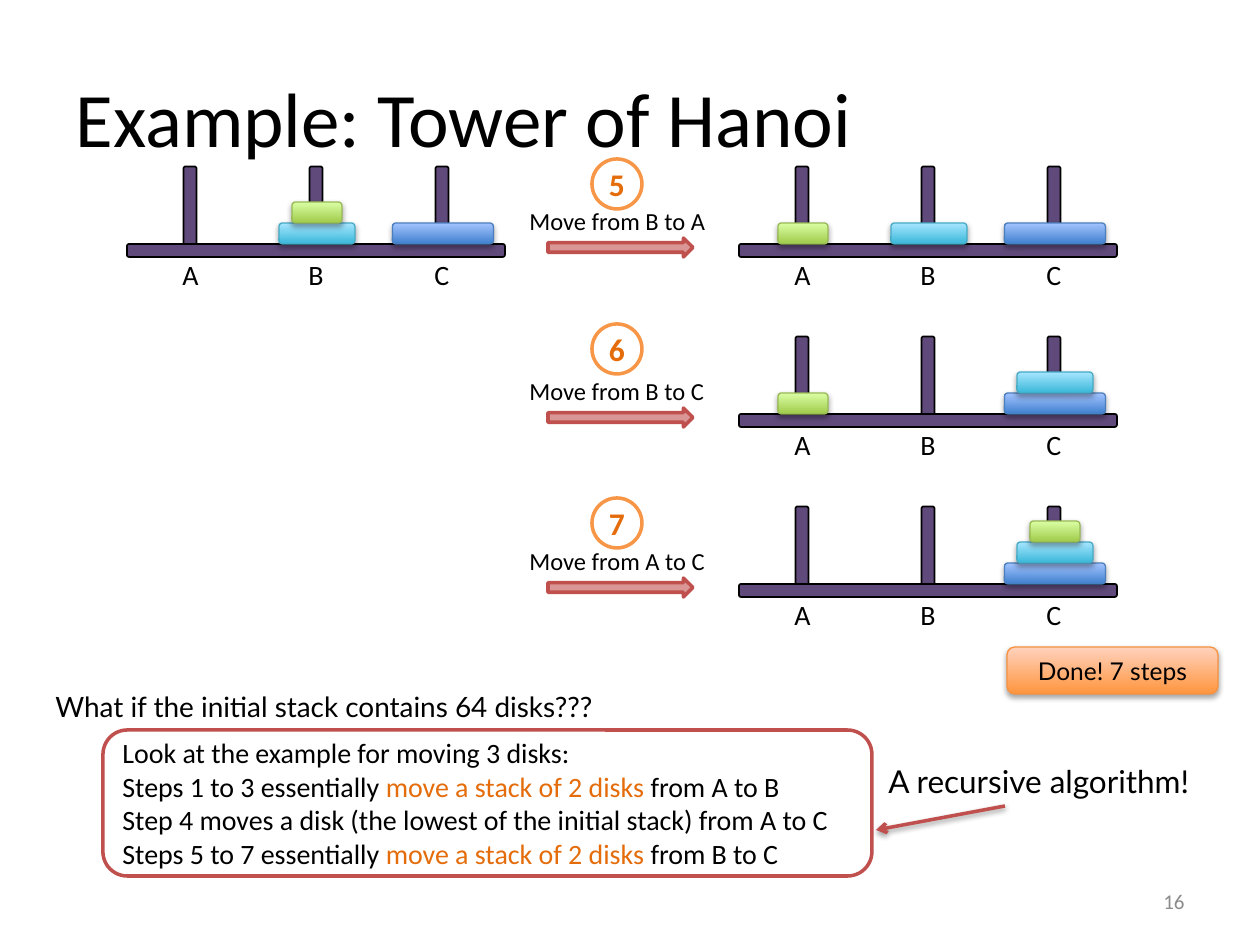
from lxml import etree
from pptx import Presentation
from pptx import util as u
from pptx.dml import color
from pptx.enum import shapes, text
from pptx.oxml import ns

SCALE = 914400 / 126
ROW_STEP, PEG_STEP, DISK_HEIGHT = 170, 126, 21
DISKS = {
    "large": (101, "3F80CE", "A4C4FF", "4B7EBC"),
    "medium": (76, "39B7D8", "A7E6FF", "46AAC5"),
    "small": (50, "A0CA4A", "DAFFA5", "98B955"),
}
MOVES = [
    ("5", "Move from B to A", 159, [["small"], ["medium"], ["large"]]),
    ("6", "Move from B to C", 324, [["small"], [], ["large", "medium"]]),
    ("7", "Move from A to C", 498, [[], [], ["large", "medium", "small"]]),
]
ADVICE = [
    [("Look at the example for moving 3 disks:", "000000")],
    [("Steps 1 to 3 essentially ", "000000"), ("move a stack of 2 disks ", "E46C0A"),
     ("from A to B", "000000")],
    [("Step 4 moves a disk (the lowest of the initial stack) from A to C", "000000")],
    [("Steps 5 to 7 essentially ", "000000"), ("move a stack of 2 disks", "E46C0A"),
     (" from B to C", "000000")],
]


def px(*lengths):
    """Turn pixel lengths into a list of EMU."""
    return [u.Emu(round(length * SCALE)) for length in lengths]


def rgb(value):
    """Return the colour for a hex string."""
    return color.RGBColor.from_string(value)


def apply(target, **values):
    """Set each named attribute on the target."""
    for name, value in values.items():
        setattr(target, name, value)


def add_shadow(properties, alpha=35000):
    """Put a soft downward shadow into the effect list of the properties."""
    effects = properties.find(ns.qn("a:effectLst"))
    if effects is None:
        effects = etree.SubElement(properties, ns.qn("a:effectLst"))
    shadow = etree.SubElement(effects, ns.qn("a:outerShdw"), blurRad="40000",
                              dist="23000", dir="5400000", rotWithShape="0")
    tint = etree.SubElement(shadow, ns.qn("a:srgbClr"), val="000000")
    etree.SubElement(tint, ns.qn("a:alpha"), val=str(alpha))


def add_figure(parts, kind, box, fill=None, line=None, width=1):
    """Add a preset shape; a pair of fills makes a shadowed gradient."""
    shape = parts.add_shape(kind, *px(*box))
    shape.shadow.inherit = False
    if isinstance(fill, tuple):
        shape.fill.gradient()
        shape.fill.gradient_angle = 90
        for stop, value in zip(shape.fill.gradient_stops, fill):
            stop.color.rgb = rgb(value)
        add_shadow(shape._element.spPr)
    elif fill:
        shape.fill.solid()
        shape.fill.fore_color.rgb = rgb(fill)
    else:
        shape.fill.background()
    if line:
        shape.line.color.rgb = rgb(line)
        shape.line.width = u.Pt(width)
    else:
        shape.line.fill.background()
    return shape


def write(shape, lines, size, name="Calibri", align="LEFT", bold=False, **frame_values):
    """Fill a shape with lines, each a list of text and colour pairs."""
    frame = shape.text_frame
    apply(frame, **{"word_wrap": True, **frame_values})
    for index, spans in enumerate(lines):
        para = frame.add_paragraph() if index else frame.paragraphs[0]
        para.alignment = text.PP_ALIGN[align]
        for words, value in spans:
            span = para.add_run()
            span.text = words
            apply(span.font, size=u.Pt(size), name=name, bold=bold)
            span.font.color.rgb = rgb(value)


def add_label(parts, box, words, size, name="Calibri"):
    """Add an unwrapped line of black text."""
    write(parts.add_textbox(*px(*box)), [[(words, "000000")]], size, name,
          word_wrap=False, auto_size=text.MSO_AUTO_SIZE.SHAPE_TO_FIT_TEXT)


def add_towers(parts, left, top, stacks):
    """Draw a board at the given corner with three pegs and their disks."""
    rounded = shapes.MSO_SHAPE.ROUNDED_RECTANGLE
    for peg in range(3):
        box = (left + 19 + PEG_STEP * peg, top - 40, 88, 13)
        add_figure(parts, rounded, box, "604A7B", "000000").rotation = 90
    add_figure(parts, rounded, (left, top, 378, 13), "604A7B", "000000")
    for peg, (letter, stack) in enumerate(zip("ABC", stacks)):
        start = left + PEG_STEP * peg
        add_label(parts, (start + 43, top + 7, 42, 47), letter, 16)
        for level, disk in enumerate(stack, 1):
            width, dark, light, edge = DISKS[disk]
            box = (start + 64 - width / 2, top - DISK_HEIGHT * level, width, DISK_HEIGHT)
            add_figure(parts, rounded, box, (dark, light), edge, 0.75)


def add_move(page, top, number, words, circle_top, stacks):
    """Draw one numbered move, its arrow and the towers that result."""
    parts = page.shapes.add_group_shape().shapes
    add_figure(parts, shapes.MSO_SHAPE.RIGHT_ARROW, (548, top - 6, 145, 19),
               "D99694", "C0504D", 2)
    add_label(parts, (517, top - 44, 201, 43), words, 14)
    add_towers(parts, 739, top, stacks)
    circle = add_figure(page.shapes, shapes.MSO_SHAPE.OVAL, (592, circle_top, 50, 50),
                        None, "F79646", 2)
    write(circle, [[(number, "E46C0A")]], 18, align="CENTER", bold=True, word_wrap=False,
          vertical_anchor=text.MSO_ANCHOR.MIDDLE,
          margin_left=0, margin_right=0, margin_top=0, margin_bottom=0)


def add_heading(page):
    """Place the title and the slide number."""
    title = page.shapes.title
    apply(title, **dict(zip(("left", "top", "width", "height"), px(63, 38, 1134, 157))))
    middle = text.MSO_ANCHOR.MIDDLE
    write(title, [[("Example: Tower of Hanoi", "000000")]], 44, vertical_anchor=middle)
    number = page.shapes.add_textbox(*px(903, 876, 294, 50))
    write(number, [[("16", "8C8C8C")]], 12, align="RIGHT", vertical_anchor=middle)


def add_conclusion(page):
    """Place the closing question, the explanation and its callout."""
    parts, kinds, middle = page.shapes, shapes.MSO_SHAPE, text.MSO_ANCHOR.MIDDLE
    done = add_figure(parts, kinds.ROUNDED_RECTANGLE, (1007, 647, 211, 47),
                      ("FF953E", "FFD2BD"), "F69240", 0.75)
    write(done, [[("Done! 7 steps", "000000")]], 14, "Lato", "CENTER", vertical_anchor=middle)
    question = add_figure(parts, kinds.RECTANGLE, (43, 683, 670, 47), "FFFFFF")
    write(question, [[("What if the initial stack contains 64 disks???", "000000")]], 16,
          "Lato", word_wrap=False, vertical_anchor=text.MSO_ANCHOR.TOP,
          auto_size=text.MSO_AUTO_SIZE.SHAPE_TO_FIT_TEXT)
    advice = add_figure(parts, kinds.ROUNDED_RECTANGLE, (103, 730, 769, 146),
                        "FFFFFF", "C0504D", 2)
    write(advice, ADVICE, 16, vertical_anchor=middle)
    add_label(parts, (876, 756, 384, 50), "A recursive algorithm!", 18, "Lato")
    pointer = parts.add_connector(shapes.MSO_CONNECTOR.STRAIGHT, *px(1005, 806, 876, 830))
    pointer.line.color.rgb = rgb("C0504D")
    pointer.line.width = u.Pt(2)
    etree.SubElement(pointer.line._get_or_add_ln(), ns.qn("a:tailEnd"), type="arrow")
    add_shadow(pointer._element.spPr, 38000)


def main():
    """Build the slide and save the deck."""
    deck = Presentation()
    apply(deck, **dict(zip(("slide_width", "slide_height"), px(1260, 945))))
    page = deck.slides.add_slide(deck.slide_layouts[5])
    add_heading(page)
    add_towers(page.shapes.add_group_shape().shapes, 127, 244,
               [[], ["medium", "small"], ["large"]])
    for row, move in enumerate(MOVES):
        add_move(page, 244 + ROW_STEP * row, *move)
    add_conclusion(page)
    deck.save("out.pptx")


if __name__ == "__main__":
    main()
